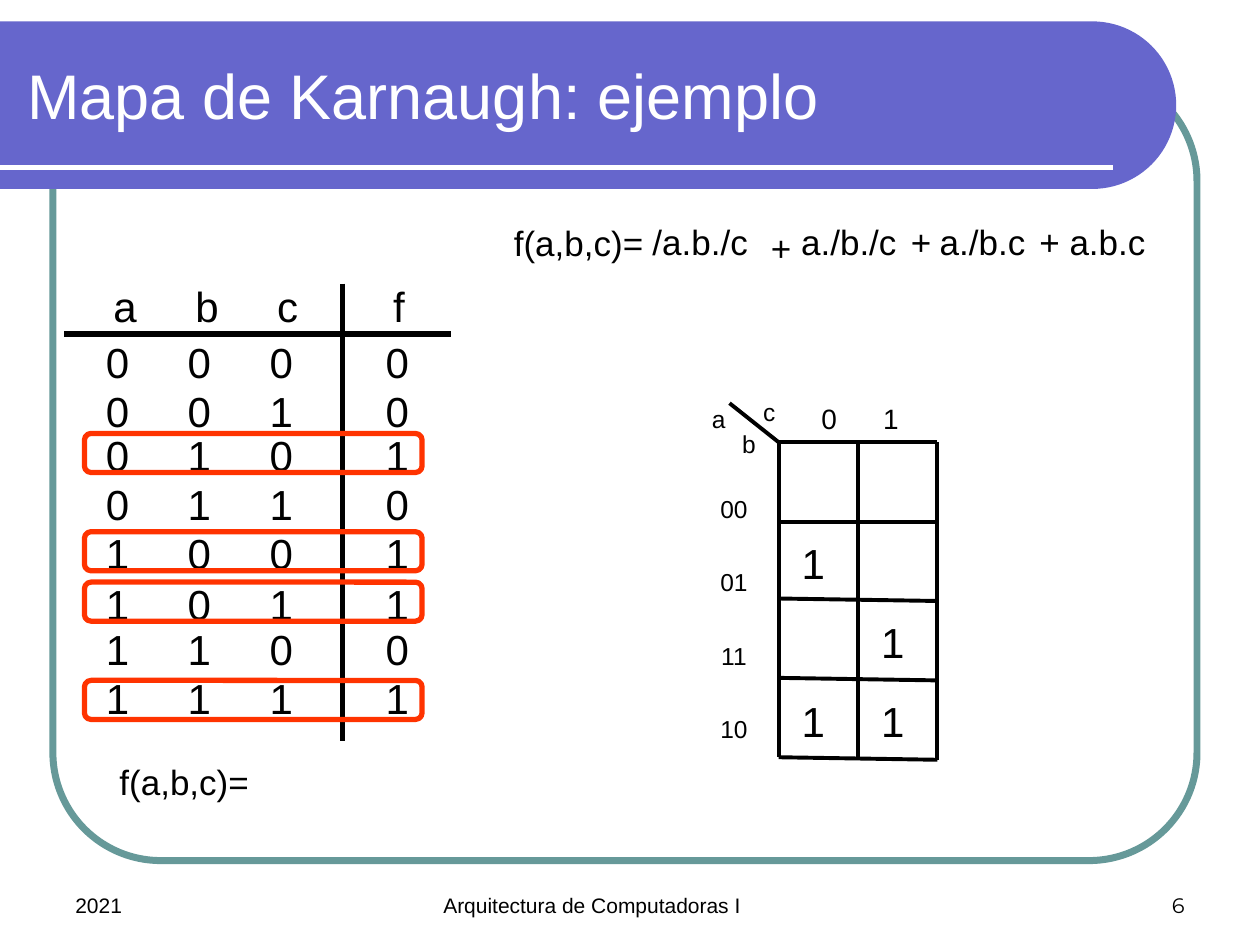
import math
from dataclasses import dataclass
from typing import Optional

from lxml import etree
from pptx import Presentation
from pptx.dml.color import RGBColor
from pptx.enum.shapes import MSO_CONNECTOR, MSO_SHAPE
from pptx.enum.text import MSO_ANCHOR, PP_ALIGN
from pptx.oxml.ns import qn
from pptx.util import Inches, Pt

STRAIGHT = MSO_CONNECTOR.STRAIGHT
ROUNDED = MSO_SHAPE.ROUNDED_RECTANGLE
LEFT, CENTER, RIGHT = PP_ALIGN.LEFT, PP_ALIGN.CENTER, PP_ALIGN.RIGHT
TOP, MIDDLE, BOTTOM = MSO_ANCHOR.TOP, MSO_ANCHOR.MIDDLE, MSO_ANCHOR.BOTTOM


@dataclass(frozen=True)
class Theme:
    ink: str = "000000"
    white: str = "FFFFFF"
    banner: str = "6666CC"
    frame: str = "669999"
    highlight: str = "FF3300"
    font: str = "Arial"
    number_font: str = "Montserrat"
    title: float = 36
    table: float = 24
    formula: float = 20
    column_label: float = 16
    map_label: float = 14
    footer: float = 12
    thick: float = 3
    grid: float = 2.25


@dataclass(frozen=True)
class Label:
    text: str
    left: float
    top: float
    width: float
    height: float
    size: float
    color: str = Theme.ink
    font: str = Theme.font
    align: PP_ALIGN = LEFT
    anchor: MSO_ANCHOR = TOP
    inset: float = 0.1
    tabs: tuple[float, ...] = ()
    spacing: Optional[float] = None


@dataclass(frozen=True)
class Rule:
    x1: float
    y1: float
    x2: float
    y2: float
    width: float
    color: str = Theme.ink


@dataclass(frozen=True)
class TruthRow:
    values: str
    top: float
    highlight_top: Optional[float] = None


THEME = Theme()
TABLE_LEFT = 0.67
TRUTH_TABS = (0.65, 1.3, 2.22)
TRUTH_ROWS = (
    TruthRow("abcf", 2.18),
    TruthRow("0000", 2.62),
    TruthRow("0010", 3.01),
    TruthRow("0101", 3.36, 3.44),
    TruthRow("0110", 3.75),
    TruthRow("1001", 4.14, 4.22),
    TruthRow("1011", 4.54, 4.62),
    TruthRow("1100", 4.9),
    TruthRow("1111", 5.29, 5.4),
)
# Text, left, top and width of each part of the sum of products
FORMULA = (
    ("f(a,b,c)=", 3.98, 1.71, 1.5),
    ("/a.b./c", 5.08, 1.7, 1.02),
    ("+", 6.02, 1.75, 0.39),
    ("a./b./c", 6.26, 1.7, 1.02),
    ("+", 7.13, 1.7, 0.39),
    ("a./b.c", 7.36, 1.7, 0.94),
    ("+", 8.15, 1.7, 0.39),
    ("a.b.c", 8.39, 1.7, 0.87),
    ("f(a,b,c)=", 0.85, 5.99, 1.5),
)
MAP_COLUMNS = (6.18, 6.81, 7.44)
MAP_TOP = 3.51
MAP_ROWS = ((MAP_TOP, MAP_TOP), (4.14, 4.14), (4.75, 4.77), (5.38, 5.4), (6.01, 6.03))
MAP_VARIABLES = (("c", 5.87, 3.1), ("a", 5.47, 3.16), ("b", 5.71, 3.36))
MAP_ONES = ((0, 4.22), (0, 5.47), (1, 5.47), (1, 4.84))


def rgb(color: str) -> RGBColor:
    return RGBColor.from_string(color)


def apply_format(target, values: dict) -> None:
    for name, value in values.items():
        setattr(target, name, value)


def add_label(slide, label: Label) -> None:
    box = slide.shapes.add_textbox(
        *map(Inches, (label.left, label.top, label.width, label.height)))
    apply_format(box.text_frame, {
        "word_wrap": True,
        "vertical_anchor": label.anchor,
        "margin_left": Inches(label.inset),
    })
    for index, text in enumerate(label.text.split("\n")):
        frame = box.text_frame
        paragraph = frame.add_paragraph() if index else frame.paragraphs[0]
        if label.tabs:
            tab_list = etree.SubElement(
                paragraph._p.get_or_add_pPr(), qn("a:tabLst"))
            for position in label.tabs:
                etree.SubElement(tab_list, qn("a:tab"),
                                 pos=str(Inches(position)), algn="l")
        apply_format(paragraph, {"alignment": label.align,
                                 "line_spacing": label.spacing})
        run = paragraph.add_run()
        run.text = text
        apply_format(run.font, {"name": label.font, "size": Pt(label.size)})
        run.font.color.rgb = rgb(label.color)


def add_rule(slide, rule: Rule) -> None:
    line = slide.shapes.add_connector(
        STRAIGHT, *map(Inches, (rule.x1, rule.y1, rule.x2, rule.y2)))
    line.line.color.rgb = rgb(rule.color)
    line.line.width = Pt(rule.width)
    etree.SubElement(line._element.spPr, qn("a:effectLst"))


def add_outline(slide, left: float, top: float, width: float, height: float,
                color: str, weight: float, rounding: float = 0.17) -> None:
    outline = slide.shapes.add_shape(
        ROUNDED, *map(Inches, (left, top, width, height)))
    outline.adjustments[0] = rounding
    outline.shadow.inherit = False
    outline.fill.background()
    outline.line.color.rgb = rgb(color)
    outline.line.width = Pt(weight)


def add_banner(slide) -> None:
    """Draw the title band, which runs off the left edge and ends in a half circle."""
    top, bottom, center_x, steps = 0.17, 1.5, 8.67, 48
    radius = (bottom - top) / 2
    angles = [math.pi * (step / steps - 0.5) for step in range(steps + 1)]
    points = [(center_x + radius * math.cos(angle),
               top + radius + radius * math.sin(angle)) for angle in angles]
    points.append((0, bottom))
    builder = slide.shapes.build_freeform(Inches(0), Inches(top))
    builder.add_line_segments([(Inches(x), Inches(y)) for x, y in points])
    banner = builder.convert_to_shape()
    banner.shadow.inherit = False
    banner.fill.solid()
    banner.fill.fore_color.rgb = rgb(THEME.banner)
    banner.line.fill.background()


def add_page_furniture(slide) -> None:
    add_outline(slide, 0.42, 0.58, 9.08, 6.25, THEME.frame, 4, 0.137)
    add_banner(slide)
    add_rule(slide, Rule(0, 1.33, 8.83, 1.33, THEME.thick, THEME.white))
    add_label(slide, Label("Mapa de Karnaugh: ejemplo", 0.12, 0.25, 6.93, 1,
                           THEME.title, THEME.white, anchor=MIDDLE))
    for text, left, width, font, align in (
            ("6", 7.17, 2.33, THEME.number_font, RIGHT),
            ("Arquitectura de Computadoras I", 3.42, 3.17, THEME.font, LEFT),
            ("2021", 0.5, 2.33, THEME.font, LEFT)):
        add_label(slide, Label(text, left, 6.83, width, 0.5, THEME.footer,
                               font=font, align=align, anchor=BOTTOM))


def add_truth_table(slide) -> None:
    add_rule(slide, Rule(0.51, 2.65, 3.58, 2.65, THEME.thick))
    add_rule(slide, Rule(2.72, 2.25, 2.72, 5.88, THEME.thick))
    for row in TRUTH_ROWS:
        inset = 0.17 if row.values.isdigit() else 0.23
        add_label(slide, Label("\t".join(row.values), TABLE_LEFT, row.top, 2.76, 0.5,
                               THEME.table, inset=inset, tabs=TRUTH_TABS))
    for row in TRUTH_ROWS:
        if row.highlight_top is not None:
            add_outline(slide, TABLE_LEFT, row.highlight_top, 2.68, 0.31,
                        THEME.highlight, THEME.thick)


def add_karnaugh_map(slide) -> None:
    left, middle, right = MAP_COLUMNS
    bottom_left, bottom_right = MAP_ROWS[-1]
    for x, bottom in ((left, bottom_left), (middle, bottom_right), (right, bottom_right)):
        add_rule(slide, Rule(x, MAP_TOP, x, bottom, THEME.grid))
    for left_y, right_y in MAP_ROWS:
        add_rule(slide, Rule(right, right_y, left, left_y, THEME.grid))
    add_rule(slide, Rule(5.79, 3.2, left, MAP_TOP, THEME.grid))
    for variable, x, y in MAP_VARIABLES:
        add_label(slide, Label(variable, x, y, 0.47, 0.34, THEME.map_label, align=CENTER))
    add_label(slide, Label("00\n01\n11\n10", 5.55, 3.52, 0.55, 2.35,
                           THEME.map_label, align=CENTER, spacing=2.5))
    add_label(slide, Label("0\t1", 6.42, 3.14, 0.94, 0.37,
                           THEME.column_label, tabs=(0.49,)))
    for column, y in MAP_ONES:
        add_label(slide, Label("1", MAP_COLUMNS[column], y, 0.55, 0.5,
                               THEME.table, align=CENTER))


def main() -> None:
    presentation = Presentation()
    apply_format(presentation, {"slide_width": Inches(10), "slide_height": Inches(7.5)})
    slide = presentation.slides.add_slide(presentation.slide_layouts[6])
    add_page_furniture(slide)
    add_truth_table(slide)
    for text, left, top, width in FORMULA:
        add_label(slide, Label(text, left, top, width, 0.44, THEME.formula))
    add_karnaugh_map(slide)
    presentation.save("out.pptx")


if __name__ == "__main__":
    main()
